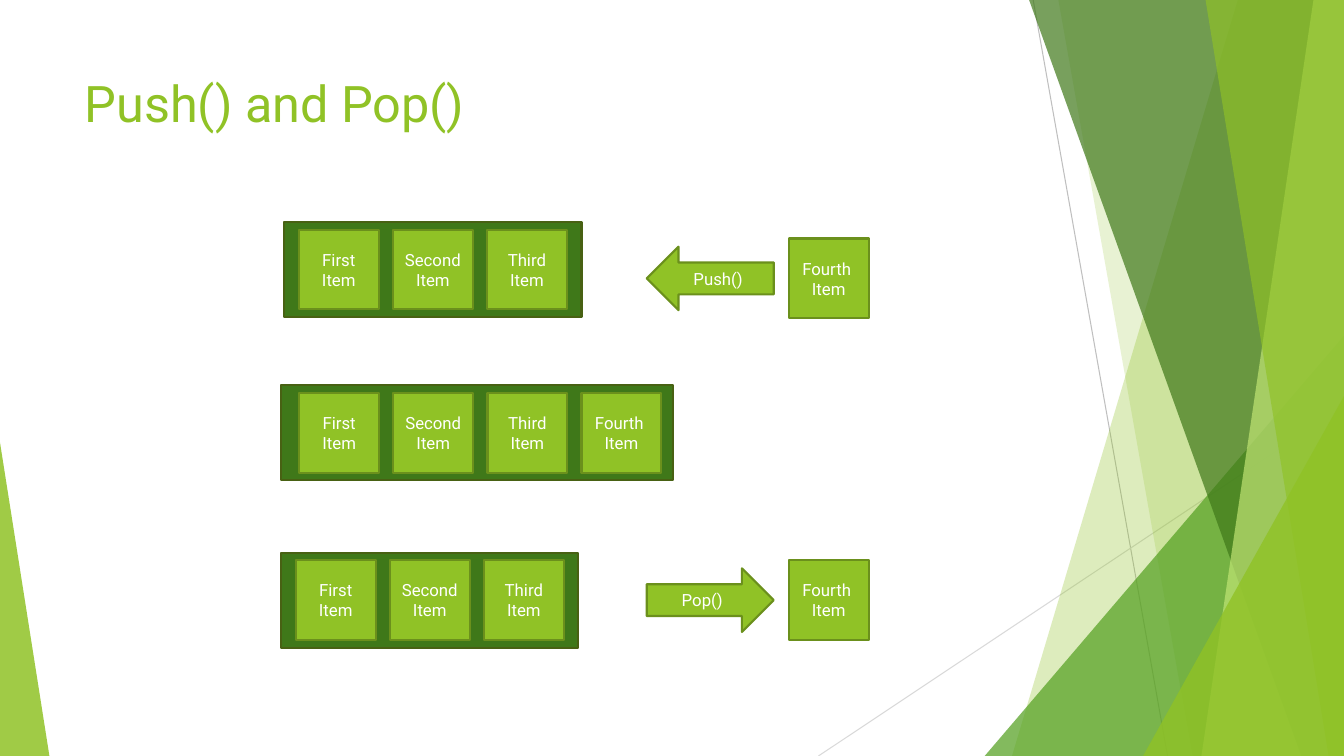
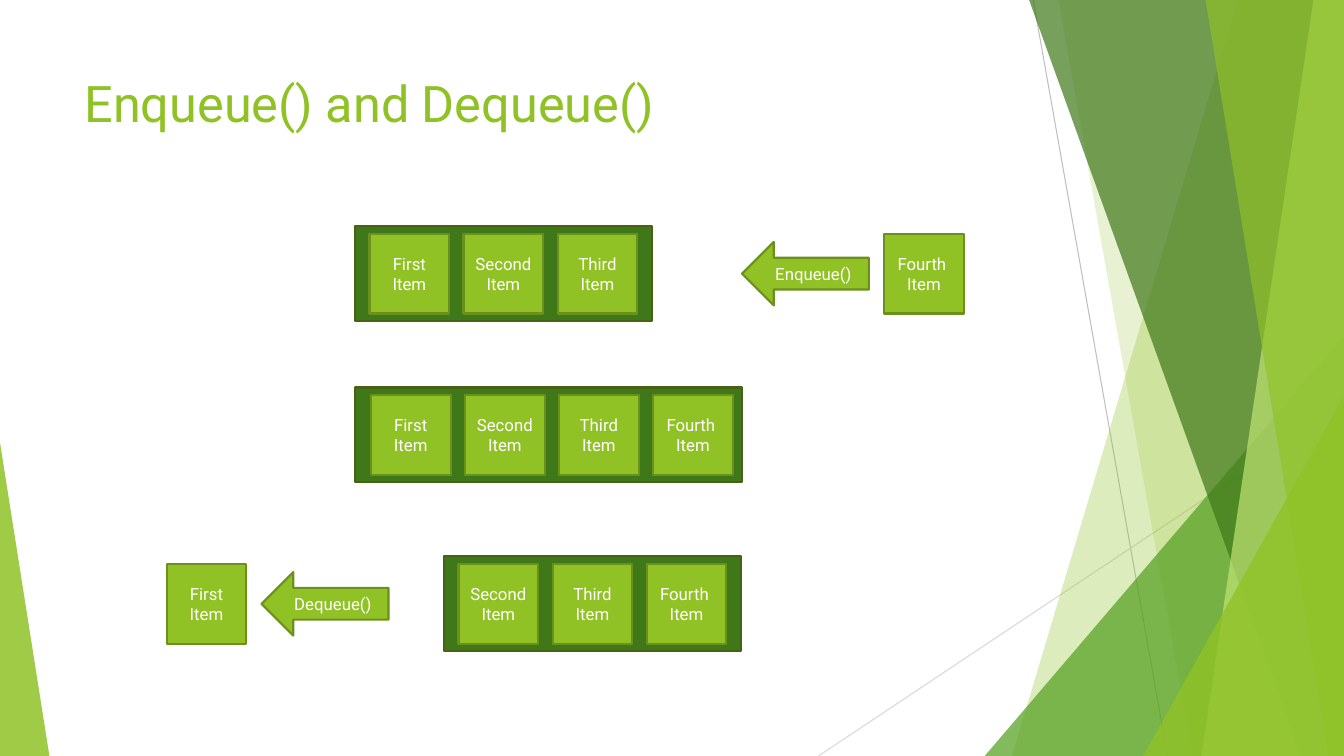
from dataclasses import dataclass

from pptx import Presentation
from pptx.dml.color import RGBColor
from pptx.enum.shapes import MSO_CONNECTOR, MSO_SHAPE as SHAPE
from pptx.enum.text import MSO_ANCHOR as ANCHOR, PP_ALIGN as ALIGN
from pptx.oxml.ns import qn
from pptx.util import Pt
from lxml.etree import SubElement

WIDTH, HEIGHT = 960, 540
ITEM, PITCH = 57, 67.2
TRAY_PAD, TRAY_RIM = 10.5, 5.4
ARROW_W, ARROW_H, ARROW_GAP = 90.7, 45.4, 10.8
FIRST, SECOND, THIRD, FOURTH = "First", "Second", "Third", "Fourth "


@dataclass(frozen=True)
class Theme:
    font: str = "Roboto"
    title_size: float = 36
    label_size: float = 12
    edge_width: float = 1.5
    hairline: float = 0.75
    lime: str = "90C226"
    pale_lime: str = "C0E474"
    grass: str = "54A021"
    forest: str = "3F7819"
    item_edge: str = "6B901C"
    tray_edge: str = "486113"
    white: str = "FFFFFF"
    gray: str = "BFBFBF"
    light_gray: str = "D9D9D9"


THEME = Theme()


def rgb(color):
    return RGBColor.from_string(color)


def write(sp, text, *, size, color, align=ALIGN.LEFT, anchor=ANCHOR.TOP):
    """Fill a shape with text, one paragraph per line."""
    tf = sp.text_frame
    tf.word_wrap = True
    tf.vertical_anchor = anchor
    for i, line in enumerate(text.split("\n")):
        p = tf.paragraphs[0] if i == 0 else tf.add_paragraph()
        p.alignment = align
        r = p.add_run()
        r.text = line
        r.font.name = THEME.font
        r.font.size = Pt(size)
        r.font.color.rgb = rgb(color)


def paint(sp, fill, edge=None, opacity=100):
    sp.shadow.inherit = False
    sp.fill.solid()
    sp.fill.fore_color.rgb = rgb(fill)
    if opacity < 100:
        clr = sp.element.spPr.find(qn("a:solidFill")).find(qn("a:srgbClr"))
        SubElement(clr, qn("a:alpha")).set("val", str(opacity * 1000))
    if edge:
        sp.line.color.rgb = rgb(edge)
        sp.line.width = Pt(THEME.edge_width)
    else:
        sp.line.fill.background()


class Deck:
    def __init__(self, theme):
        self.theme = theme
        self.prs = Presentation()
        self.prs.slide_width, self.prs.slide_height = Pt(WIDTH), Pt(HEIGHT)
        self.shapes = None

    def slide(self, title):
        s = self.prs.slides.add_slide(self.prs.slide_layouts[6])
        self.shapes = s.shapes
        self.backdrop()
        box = self.shapes.add_textbox(Pt(53.3), Pt(48.2), Pt(677), Pt(103.7))
        write(box, title, size=self.theme.title_size, color=self.theme.lime)

    def backdrop(self):
        t = self.theme
        self.hairline(738, 0, 834, HEIGHT, t.gray)
        self.hairline(WIDTH, 290, 584.6, HEIGHT, t.light_gray)
        self.band(884.2, 722.9, t.lime, 30)
        self.band(756, 851.8, t.lime, 20)
        self.wedge(703.4, 239.8, WIDTH, 1, t.grass, 72)
        self.band(735.1, 929.5, t.forest, 70)
        self.band(938.2, 858.2, t.pale_lime, 70)
        self.band(861.1, 949, t.lime, 65)
        self.wedge(816.5, 283, WIDTH, 1, t.lime, 80)
        self.wedge(0, 316.1, 35.3, 0, t.lime, 85)

    def hairline(self, x1, y1, x2, y2, color):
        line = self.shapes.add_connector(
            MSO_CONNECTOR.STRAIGHT, Pt(x1), Pt(y1), Pt(x2), Pt(y2))
        line.line.color.rgb = rgb(color)
        line.line.width = Pt(self.theme.hairline)
        SubElement(line._element.spPr, qn("a:effectLst"))

    def band(self, top_x, bottom_x, color, opacity):
        """Full-height band from a slanted left edge to the slide's right edge."""
        outline = self.shapes.build_freeform(Pt(top_x), Pt(0))
        outline.add_line_segments(
            [(Pt(WIDTH), Pt(0)), (Pt(WIDTH), Pt(HEIGHT)), (Pt(bottom_x), Pt(HEIGHT))])
        paint(outline.convert_to_shape(), color, opacity=opacity)

    def wedge(self, left, top, right, apex, color, opacity):
        """Triangle standing on the slide's bottom edge."""
        sp = self.shapes.add_shape(
            SHAPE.ISOSCELES_TRIANGLE, Pt(left), Pt(top), Pt(right - left), Pt(HEIGHT - top))
        sp.adjustments[0] = apex
        paint(sp, color, opacity=opacity)

    def block(self, kind, x, y, w, h, text):
        t = self.theme
        sp = self.shapes.add_shape(kind, Pt(x), Pt(y), Pt(w), Pt(h))
        paint(sp, t.lime, t.item_edge)
        write(sp, text, size=t.label_size, color=t.white,
              align=ALIGN.CENTER, anchor=ANCHOR.MIDDLE)

    def item(self, x, y, name):
        self.block(SHAPE.RECTANGLE, x, y, ITEM, ITEM, f"{name}\nItem")

    def tray(self, x, y, names, pad_left=TRAY_PAD, pad_right=TRAY_PAD):
        """Container around a row of items; y is the top of the items."""
        width = pad_left + PITCH * (len(names) - 1) + ITEM + pad_right
        sp = self.shapes.add_shape(SHAPE.RECTANGLE, Pt(x), Pt(y - TRAY_RIM),
                                   Pt(width), Pt(ITEM + 2 * TRAY_RIM))
        paint(sp, self.theme.forest, self.theme.tray_edge)
        for i, name in enumerate(names):
            self.item(x + pad_left + i * PITCH, y, name)

    def move(self, x, y, call, name, arrow=SHAPE.LEFT_ARROW, item_first=False):
        """Labelled arrow beside the item it moves; y is the top of the item."""
        item_x = x if item_first else x + ARROW_W + ARROW_GAP
        arrow_x = x + ITEM + ARROW_GAP if item_first else x
        self.block(arrow, arrow_x, y + (ITEM - ARROW_H) / 2, ARROW_W, ARROW_H, call)
        self.item(item_x, y, name)


def main():
    deck = Deck(THEME)

    deck.slide("Push() and Pop()")
    deck.move(462, 170.4, "Push()", FOURTH)
    deck.tray(203, 164, [FIRST, SECOND, THIRD])
    deck.tray(200.8, 280.6, [FIRST, SECOND, THIRD, FOURTH], 13, 8.5)
    deck.tray(200.8, 400.2, [FIRST, SECOND, THIRD])
    deck.move(462, 400.2, "Pop()", FOURTH, arrow=SHAPE.RIGHT_ARROW)

    deck.slide("Enqueue() and Dequeue()")
    deck.move(530, 167, "Enqueue()", FOURTH)
    deck.tray(253.4, 167, [FIRST, SECOND, THIRD])
    deck.tray(253.4, 282.2, [FIRST, SECOND, THIRD, FOURTH], 11.5, 6.5)
    deck.tray(317, 402.8, [SECOND, THIRD, FOURTH])
    deck.move(119, 402.8, "Dequeue()", FIRST, item_first=True)

    deck.prs.save("out.pptx")


if __name__ == "__main__":
    main()
